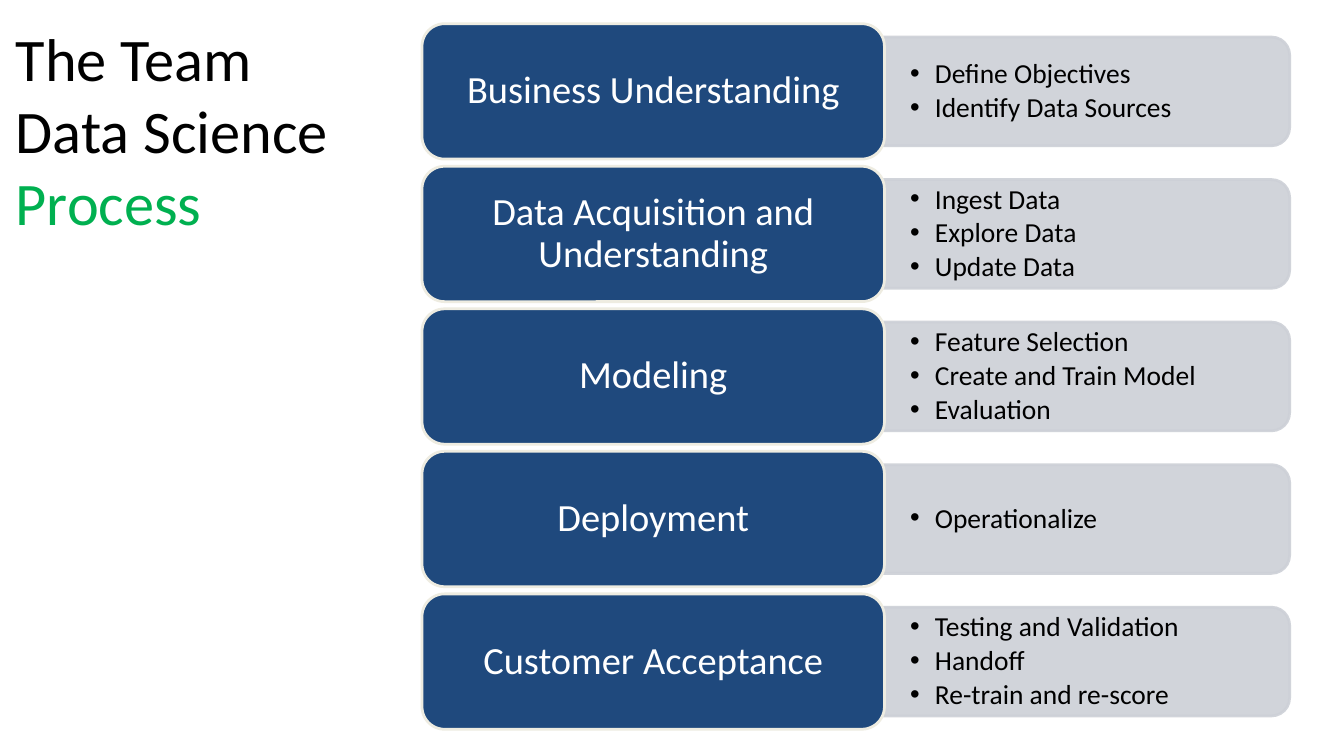
from pptx import Presentation
from pptx.dml.color import RGBColor
from pptx.enum.shapes import MSO_SHAPE
from pptx.enum.text import MSO_ANCHOR, PP_ALIGN
from pptx.oxml.ns import qn
from pptx.util import Inches, Pt
from lxml import etree

ROUND = MSO_SHAPE.ROUNDED_RECTANGLE
TAB = MSO_SHAPE.ROUND_2_SAME_RECTANGLE
MIDDLE, TOP = MSO_ANCHOR.MIDDLE, MSO_ANCHOR.TOP
CENTER, LEFT = PP_ALIGN.CENTER, PP_ALIGN.LEFT

TITLE = [("The Team Data Science ", "black"), ("Process", "green")]
STAGES = [
    ("Business Understanding", ["Define Objectives", "Identify Data Sources"]),
    ("Data Acquisition and Understanding",
     ["Ingest Data", "Explore Data", "Update Data"]),
    ("Modeling",
     ["Feature Selection", "Create and Train Model", "Evaluation"]),
    ("Deployment", ["Operationalize"]),
    ("Customer Acceptance",
     ["Testing and Validation", "Handoff", "Re-train and re-score"]),
]

COLORS = {"black": "000000", "white": "FFFFFF", "green": "00B050",
          "navy": "1F497D", "cream": "EEECE1", "gray": "CDD0D7"}
FONT = "Calibri"

# Lengths in inches
FIRST, LAST = 0.24, 6.01
PITCH = (LAST - FIRST) / (len(STAGES) - 1)
LABEL_X, LABEL_W, LABEL_H = 4.27, 4.68, 1.37
TAB_X, TAB_W, TAB_H = 8.94, 4.11, 1.1
LIST_W, LIST_H = 4.05, 0.99
INDENT = 0.25

TITLE_FMT = {"anchor": TOP, "pad": (0.16, 0.1)}
LABEL_FMT = {"anchor": MIDDLE, "pad": (0.18, 0.13)}
LIST_FMT = {"anchor": MIDDLE, "pad": (0.27, 0.14)}
LABEL_PAR = {"alignment": CENTER, "line_spacing": 0.9}
LIST_PAR = {"alignment": LEFT, "line_spacing": 0.9,
            "space_after": Pt(3), "level": 1}


def rgb(name):
    return RGBColor.from_string(COLORS[name])


def set_frame(frame, anchor, pad):
    side, edge = (Inches(p) for p in pad)
    values = {"word_wrap": True, "vertical_anchor": anchor,
              "margin_left": side, "margin_right": side,
              "margin_top": edge, "margin_bottom": edge}
    for name, value in values.items():
        setattr(frame, name, value)


def add_run(par, text, size, color):
    run = par.add_run()
    run.text = text
    run.font.name, run.font.size = FONT, Pt(size)
    run.font.color.rgb = rgb(color)


def set_par(par, values):
    for name, value in values.items():
        setattr(par, name, value)


def add_bullet(par):
    props = par._p.get_or_add_pPr()
    props.set("marL", str(Inches(INDENT)))
    props.set("indent", str(-Inches(INDENT)))
    etree.SubElement(props, qn("a:buFont")).set("typeface", "Arial")
    etree.SubElement(props, qn("a:buChar")).set("char", "•")


def add_box(slide, kind, place, fill, line):
    box = slide.shapes.add_shape(kind, *map(Inches, place))
    box.shadow.inherit = False
    box.fill.solid()
    box.fill.fore_color.rgb = rgb(fill)
    box.line.color.rgb = rgb(line)
    box.line.width = Pt(2)
    return box


def add_text(slide, place, style):
    frame = slide.shapes.add_textbox(*map(Inches, place)).text_frame
    set_frame(frame, **style)
    return frame


def add_tab(slide, mid):
    """Gray tab: an upright shape turned so its round end faces right."""
    place = (TAB_X + (TAB_W - TAB_H) / 2, mid - TAB_W / 2, TAB_H, TAB_W)
    tab = add_box(slide, TAB, place, "gray", "gray")
    tab.rotation = 90
    for color in tab._element.spPr.iter(qn("a:srgbClr")):
        etree.SubElement(color, qn("a:alpha")).set("val", "90000")


def add_list(slide, mid, items):
    place = (TAB_X, mid - LIST_H / 2, LIST_W, LIST_H)
    frame = add_text(slide, place, LIST_FMT)
    for i, item in enumerate(items):
        par = frame.add_paragraph() if i else frame.paragraphs[0]
        set_par(par, LIST_PAR)
        add_bullet(par)
        add_run(par, item, 20, "black")


def add_label(slide, top, text):
    place = (LABEL_X, top, LABEL_W, LABEL_H)
    label = add_box(slide, ROUND, place, "navy", "cream")
    set_frame(label.text_frame, **LABEL_FMT)
    par = label.text_frame.paragraphs[0]
    set_par(par, LABEL_PAR)
    add_run(par, text, 28, "white")


def main():
    deck = Presentation()
    deck.slide_width, deck.slide_height = Inches(13.6), Inches(7.65)
    slide = deck.slides.add_slide(deck.slide_layouts[6])

    title = add_text(slide, (0, 0.11, 3.86, 2.26), TITLE_FMT)
    for text, color in TITLE:
        add_run(title.paragraphs[0], text, 44, color)

    for i, (name, items) in enumerate(STAGES):
        top = FIRST + i * PITCH
        mid = top + LABEL_H / 2
        add_tab(slide, mid)
        add_list(slide, mid, items)
        add_label(slide, top, name)

    deck.save("out.pptx")


if __name__ == "__main__":
    main()
